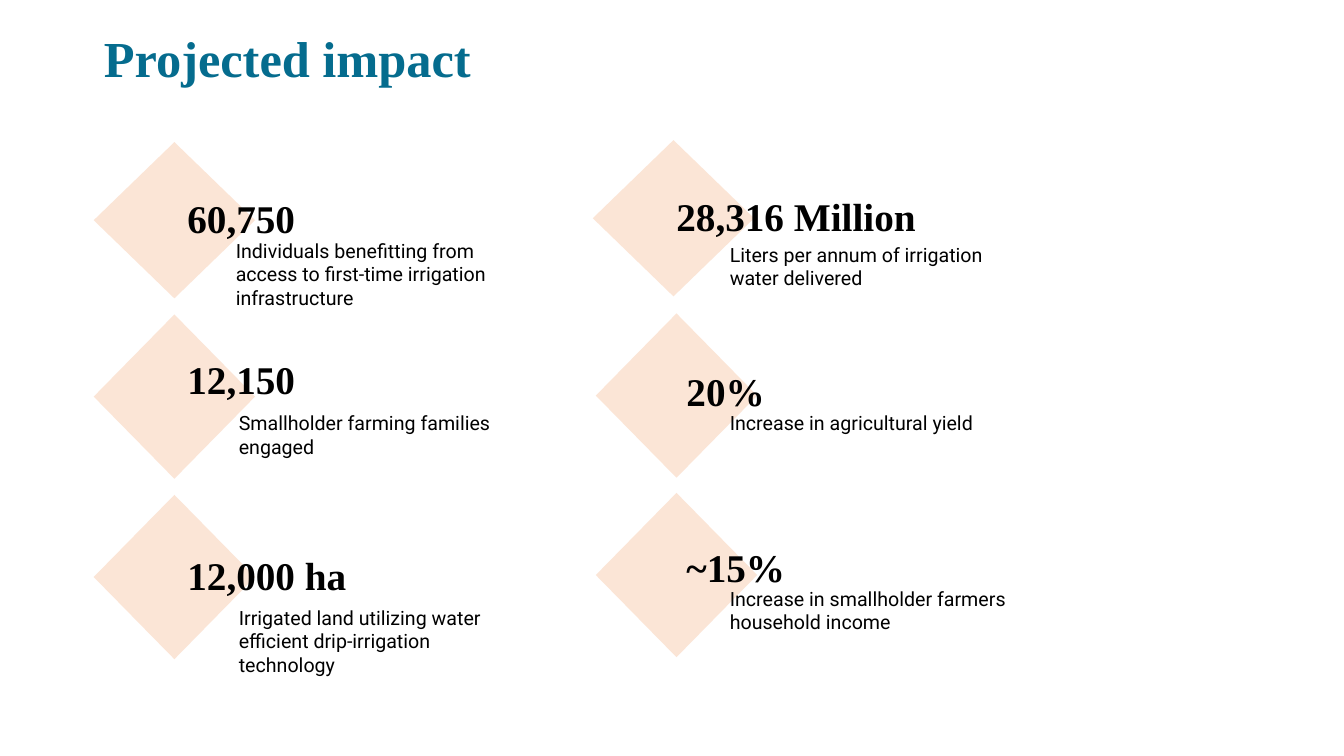
from dataclasses import dataclass
from pptx import Presentation, util as u
from pptx.dml.color import RGBColor
from pptx.enum import shapes, text

TITLE = "Projected impact"
COLS = (0.93, 5.91)
ROWS = (1.41, 3.12, 4.91)
HIGH = (1.55, 1.63, 1.63)
WIDE = 1.6
LINE = 0.57

# Each offset is (right, down) from the corner of the grid cell.
GRID = [
    [
        dict(fact="60,750", big=(0.83, 0.47, 2.98),
             note="Individuals benefitting from access to first-time irrigation infrastructure",
             small=(1.31, 0.91, 3.16), nudge=(0, 0)),
        dict(fact="28,316 Million", big=(0.7, 0.45, 3.65),
             note="Liters per annum of irrigation water delivered",
             small=(1.23, 0.95, 2.95), nudge=(-0.03, -0.02)),
    ],
    [
        dict(fact="12,150", big=(0.83, 0.36, 2.98),
             note="Smallholder farming families engaged",
             small=(1.34, 0.91, 3.16), nudge=(0, 0)),
        dict(fact="20%", big=(0.8, 0.47, 2.98),
             note="Increase in agricultural yield",
             small=(1.23, 0.91, 3.16), nudge=(0, -0.01)),
    ],
    [
        dict(fact="12,000 ha", big=(0.83, 0.51, 2.98),
             note="Irrigated land utilizing water efficient drip-irrigation technology",
             small=(1.34, 1.05, 2.95), nudge=(0, 0)),
        dict(fact="~15%", big=(0.8, 0.43, 2.98),
             note="Increase in smallholder farmers household income",
             small=(1.23, 0.86, 3.16), nudge=(0, -0.02)),
    ],
]


@dataclass(frozen=True)
class Theme:
    teal: RGBColor = RGBColor.from_string("056C8E")
    peach: RGBColor = RGBColor.from_string("FBE5D6")
    black: RGBColor = RGBColor.from_string("000000")
    serif: str = "Times New Roman"
    sans: str = "Roboto"
    head: int = 36
    fact: int = 28
    note: int = 14


LOOK = Theme()


def place(item, *box):
    item.left, item.top, item.width, item.height = map(u.Inches, box)


def write(item, words, face, size, tint, bold):
    frame = item.text_frame
    frame.word_wrap = True
    frame.auto_size = text.MSO_AUTO_SIZE.NONE
    frame.vertical_anchor = text.MSO_ANCHOR.TOP
    frame.text = words
    line = frame.paragraphs[0]
    line.alignment = text.PP_ALIGN.LEFT
    line.line_spacing = 1.0
    font = line.font
    font.name, font.size, font.bold = face, u.Pt(size), bold
    font.color.rgb = tint


def gem(slide, x, y, high):
    mark = slide.shapes.add_shape(
        shapes.MSO_SHAPE.DIAMOND, *map(u.Inches, (x, y, WIDE, high)))
    mark.shadow.inherit = False
    mark.fill.solid()
    mark.fill.fore_color.rgb = LOOK.peach
    mark.line.fill.background()


def label(slide, x, y, spot, words, face, size, bold):
    right, down, wide = spot
    box = slide.shapes.add_textbox(
        *map(u.Inches, (x + right, y + down, wide, LINE)))
    write(box, words, face, size, LOOK.black, bold)


def main():
    deck = Presentation()
    deck.slide_width, deck.slide_height = u.Inches(13.33), u.Inches(7.5)
    slide = deck.slides.add_slide(deck.slide_layouts[5])
    title = slide.shapes.title
    place(title, COLS[0], 0.22, 5.62, 0.71)
    write(title, TITLE, LOOK.serif, LOOK.head, LOOK.teal, True)
    for y, high, row in zip(ROWS, HIGH, GRID):
        for x, cell in zip(COLS, row):
            dx, dy = cell["nudge"]
            gem(slide, x + dx, y + dy, high)
            label(slide, x, y, cell["small"], cell["note"],
                  LOOK.sans, LOOK.note, False)
            label(slide, x, y, cell["big"], cell["fact"],
                  LOOK.serif, LOOK.fact, True)
    deck.save("out.pptx")


if __name__ == "__main__":
    main()
